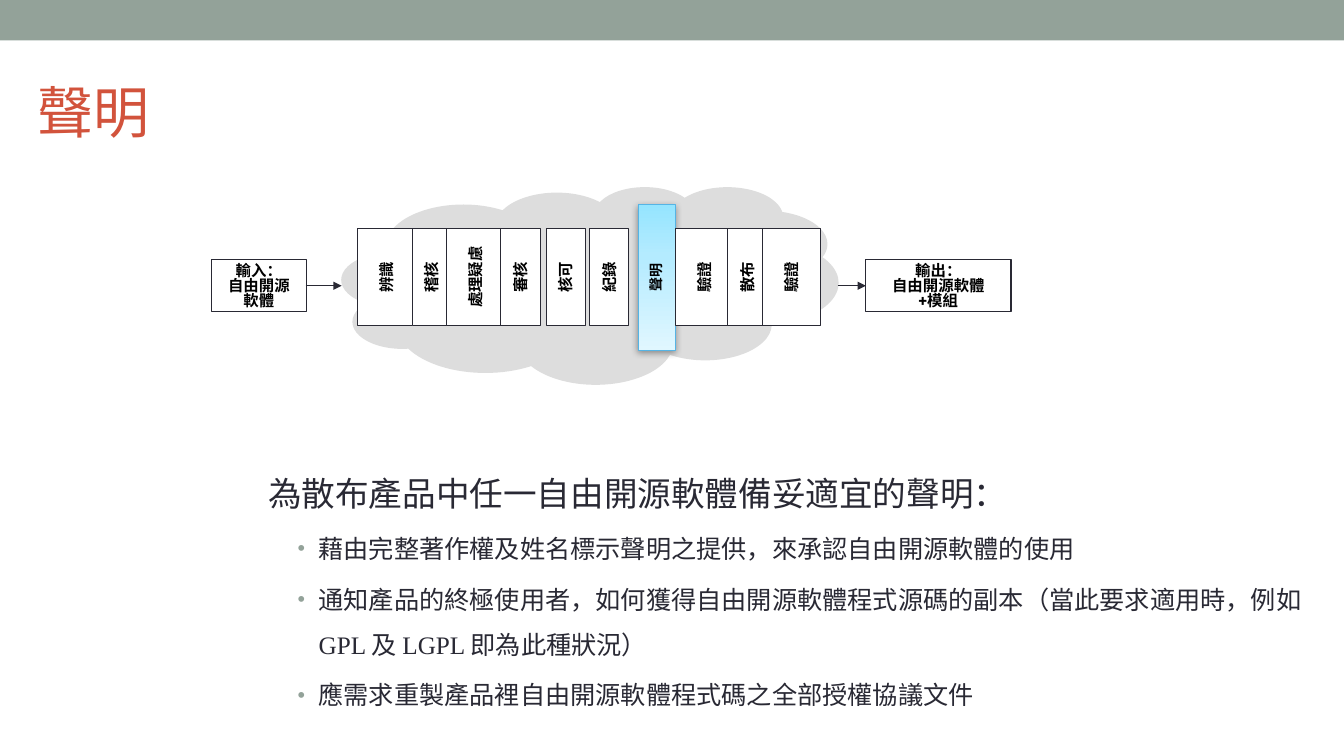
from lxml import etree
from pptx import Presentation
from pptx.dml.color import RGBColor
from pptx.enum.shapes import MSO_CONNECTOR, MSO_SHAPE
from pptx.enum.text import MSO_ANCHOR, PP_ALIGN
from pptx.oxml import parse_xml
from pptx.oxml.ns import nsdecls, qn
from pptx.util import Cm, Pt

RECT = MSO_SHAPE.RECTANGLE
CLOUD = MSO_SHAPE.CLOUD_CALLOUT
STRAIGHT = MSO_CONNECTOR.STRAIGHT
LEFT, CENTER = PP_ALIGN.LEFT, PP_ALIGN.CENTER
TOP, MIDDLE = MSO_ANCHOR.TOP, MSO_ANCHOR.MIDDLE

COLORS = {
    "band": "93A299", "title": "D2533C", "ink": "292934", "label": "000000",
    "cloud": "DDDDDD", "box": "FFFFFF", "highlight_line": "55B4E5",
    "highlight_top": "95E5FF", "highlight_mid": "B4EBFF", "highlight_low": "E0F7FF",
}

prs = Presentation()
prs.slide_width, prs.slide_height = Cm(33.87), Cm(19.05)
slide = prs.slides.add_slide(prs.slide_layouts[6])
shapes = slide.shapes


def add_box(left, top, width, height, fill, line=None, kind=RECT):
    box = shapes.add_shape(kind, Cm(left), Cm(top), Cm(width), Cm(height))
    box.shadow.inherit = False
    box.fill.solid()
    box.fill.fore_color.rgb = RGBColor.from_string(COLORS[fill])
    if line:
        box.line.color.rgb = RGBColor.from_string(COLORS[line])
        box.line.width = Pt(0.75)
    else:
        box.line.fill.background()
    return box


def write(shape, lines, size=11, color="label", font="Roboto", bold=True, align=CENTER,
          anchor=MIDDLE, insets=(0.25, 0.13, 0.25, 0.13), spacing=None):
    """Fill a shape with one paragraph per line and return the paragraphs."""
    frame = shape.text_frame
    frame.word_wrap = True
    frame.vertical_anchor = anchor
    (frame.margin_left, frame.margin_top,
     frame.margin_right, frame.margin_bottom) = map(Cm, insets)
    frame.text = "\n".join(lines)
    for paragraph in frame.paragraphs:
        paragraph.alignment = align
        paragraph.line_spacing = spacing
        for run in paragraph.runs:
            run.font.size = Pt(size)
            run.font.name = font
            run.font.bold = bold
            run.font.color.rgb = RGBColor.from_string(COLORS[color])
    return frame.paragraphs


add_box(0, 0, 33.87, 1.02, "band")

title = shapes.add_textbox(Cm(0.69), Cm(1.42), Cm(30.48), Cm(2.74))
write(title, ["聲明"], size=40, color="title", font="Times New Roman", bold=False, align=LEFT)

# Process cloud with the highlighted step
cloud = add_box(8.61, 4.7, 12.52, 4.98, "cloud", kind=CLOUD)
cloud.adjustments[0], cloud.adjustments[1] = -0.007, 0.116

highlight = add_box(16.08, 5.16, 0.94, 3.66, "box", "highlight_line")
highlight.rotation = 180
properties = highlight._element.spPr
stops = "".join(
    f'<a:gs pos="{percent * 1000}"><a:srgbClr val="{COLORS[name]}"/></a:gs>'
    for percent, name in ((0, "highlight_top"), (35, "highlight_mid"), (100, "highlight_low")))
properties.replace(properties.find(qn("a:solidFill")), parse_xml(
    f'<a:gradFill {nsdecls("a")} rotWithShape="1"><a:gsLst>{stops}</a:gsLst>'
    '<a:lin ang="16200000" scaled="0"/></a:gradFill>'))
properties.find(qn("a:effectLst")).append(parse_xml(
    f'<a:outerShdw {nsdecls("a")} blurRad="{Pt(5)}" dist="{Pt(1.6)}" dir="5400000" '
    'rotWithShape="0"><a:srgbClr val="000000"><a:alpha val="38000"/></a:srgbClr></a:outerShdw>'))

highlight_label = shapes.add_textbox(Cm(14.71), Cm(6.53), Cm(3.66), Cm(0.94))
highlight_label.rotation = 270
write(highlight_label, ["聲明"], size=10)

# Steps read upwards: each is a wide box turned about its centre
STEP_LENGTH, STEP_MIDDLE, WIDE, NARROW = 2.46, 6.98, 1.45, 0.99
steps = [
    ("辨識", 9.73, WIDE), ("稽核", 10.88, NARROW), ("處理疑慮", 11.98, WIDE),
    ("審核", 13.12, NARROW), ("核可", 14.26, NARROW), ("紀錄", 15.35, NARROW),
    ("驗證", 17.74, WIDE), ("散布", 18.83, NARROW), ("驗證", 19.95, WIDE),
]
for name, center, thickness in steps:
    step = add_box(center - STEP_LENGTH / 2, STEP_MIDDLE - thickness / 2,
                   STEP_LENGTH, thickness, "box", "ink")
    step.rotation = 270
    write(step, [name])

# Input and output
for left, width, lines in ((5.33, 2.39, ["輸入：", "自由開源軟體"]),
                           (21.82, 3.66, ["輸出：", "自由開源軟體", "+模組"])):
    endpoint = add_box(left, 6.55, width, 1.3, "box", "ink")
    write(endpoint, lines, anchor=TOP, spacing=Pt(10.5))

for start, end in ((7.7, 8.61), (21.11, 21.82)):
    arrow = shapes.add_connector(STRAIGHT, Cm(start), Cm(7.2), Cm(end), Cm(7.2))
    arrow.line.color.rgb = RGBColor.from_string(COLORS["ink"])
    arrow.line.width = Pt(0.75)
    etree.SubElement(arrow.line._get_or_add_ln(), qn("a:tailEnd"), type="triangle")
    etree.SubElement(arrow._element.spPr, qn("a:effectLst"))

# Explanation
body = shapes.add_textbox(Cm(6.05), Cm(10.9), Cm(27.81), Cm(6.96))
heading, *points = write(body, [
    "為散布產品中任一自由開源軟體備妥適宜的聲明：",
    "藉由完整著作權及姓名標示聲明之提供，來承認自由開源軟體的使用",
    "通知產品的終極使用者，如何獲得自由開源軟體程式源碼的副本（當此要求適用時，例如GPL 及 LGPL 即為此種狀況）",
    "應需求重製產品裡自由開源軟體程式碼之全部授權協議文件",
], size=18, color="ink", font="Times New Roman", bold=False, align=LEFT, anchor=TOP,
    insets=(0.71, 0.51, 0.51, 0.61), spacing=1.5)
heading.runs[0].font.size = Pt(24)
for point in points:
    point.level = 1
    point.space_before = Pt(3.6)
    indents = point._p.get_or_add_pPr()
    indents.set("marL", str(Cm(1.27)))
    indents.set("indent", str(Cm(-0.53)))
    bullet_color = etree.SubElement(indents, qn("a:buClr"))
    etree.SubElement(bullet_color, qn("a:srgbClr"), val=COLORS["band"])
    etree.SubElement(indents, qn("a:buSzPct"), val="85000")
    etree.SubElement(indents, qn("a:buFont"), typeface="Arial")
    etree.SubElement(indents, qn("a:buChar"), char="•")

prs.save("out.pptx")
